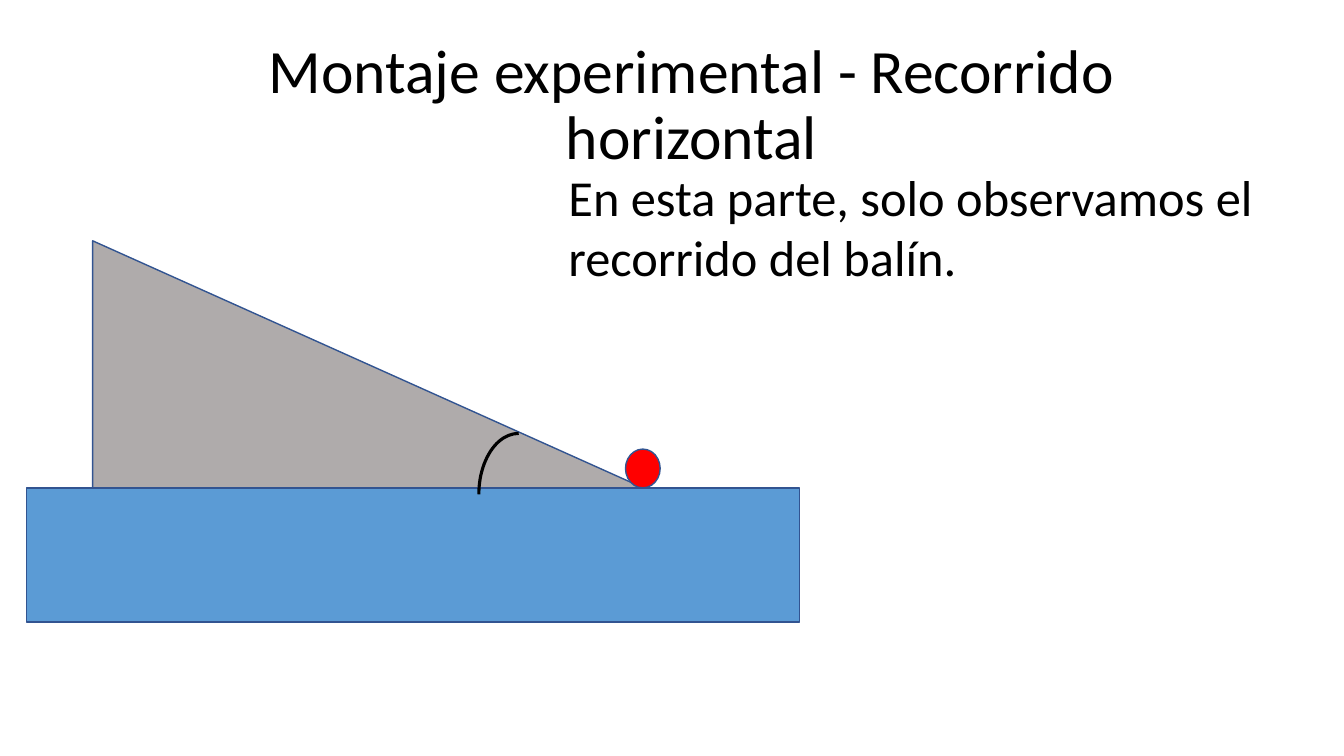
from dataclasses import dataclass
from typing import Optional

from pptx import Presentation
from pptx.dml.color import RGBColor
from pptx.enum.shapes import MSO_SHAPE
from pptx.enum.text import MSO_ANCHOR, MSO_AUTO_SIZE, PP_ALIGN
from pptx.util import Inches, Pt

WIDE, HIGH = Inches(13.33), Inches(7.5)
TINT = {
    "ink": "000000",
    "edge": "325491",
    "ramp": "AFABAB",
    "ball": "FF0000",
    "bench": "5B9BD5",
}
BENCH = 64.53


@dataclass(frozen=True)
class Box:
    left: float
    top: float
    wide: float
    high: float

    def span(self) -> tuple[int, int, int, int]:
        return (int(WIDE * self.left / 100), int(HIGH * self.top / 100),
                int(WIDE * self.wide / 100), int(HIGH * self.high / 100))


@dataclass(frozen=True)
class Part:
    kind: MSO_SHAPE
    box: Box
    fill: Optional[str] = None
    line: str = "edge"
    size: float = 1
    flip: bool = False


def seat(left: float, wide: float, high: float) -> Box:
    return Box(left, BENCH - high, wide, high)


PARTS = [
    Part(MSO_SHAPE.RIGHT_TRIANGLE, seat(6.9, 40.96, 32.67), "ramp"),
    Part(MSO_SHAPE.OVAL, seat(46.54, 2.58, 5.13), "ball"),
    Part(MSO_SHAPE.RECTANGLE, Box(1.97, BENCH, 57.54, 17.77), "bench"),
    Part(MSO_SHAPE.ARC, Box(35.63, 57.33, 5.93, 16.1),
         line="ink", size=2.25, flip=True),
]


def draw(slide, part: Part) -> None:
    shape = slide.shapes.add_shape(part.kind, *part.box.span())
    shape.shadow.inherit = False
    if part.fill:
        shape.fill.solid()
        shape.fill.fore_color.rgb = shade(part.fill)
    else:
        shape.fill.background()
    shape.line.color.rgb = shade(part.line)
    shape.line.width = Pt(part.size)
    if part.flip:
        shape.element.spPr.xfrm.set("flipH", "1")


def shade(name: str) -> RGBColor:
    return RGBColor.from_string(TINT[name])


def write(shape, text: str, *, box: Box, size: float, align=PP_ALIGN.LEFT,
          anchor=MSO_ANCHOR.TOP, fit=MSO_AUTO_SIZE.NONE, space: float = 1) -> None:
    shape.left, shape.top, shape.width, shape.height = box.span()
    frame = shape.text_frame
    frame.text = text
    frame.word_wrap = True
    frame.auto_size = fit
    frame.vertical_anchor = anchor
    line = frame.paragraphs[0]
    line.alignment = align
    line.line_spacing = space
    font = line.runs[0].font
    font.name = "Calibri"
    font.size = Pt(size)
    font.color.rgb = shade("ink")


def main() -> None:
    deck = Presentation()
    deck.slide_width, deck.slide_height = WIDE, HIGH
    slide = deck.slides.add_slide(deck.slide_layouts[5])
    write(slide.shapes.title, "Montaje experimental - Recorrido horizontal",
          box=Box(9.75, 4.4, 83.42, 19.33), size=44, align=PP_ALIGN.CENTER,
          anchor=MSO_ANCHOR.MIDDLE, space=0.9)
    for part in PARTS:
        draw(slide, part)
    note = slide.shapes.add_textbox(0, 0, WIDE, HIGH)
    write(note, "En esta parte, solo observamos el recorrido del balín.",
          box=Box(41.56, 21.3, 53.04, 17.47), size=36,
          fit=MSO_AUTO_SIZE.SHAPE_TO_FIT_TEXT)
    deck.save("out.pptx")


if __name__ == "__main__":
    main()
